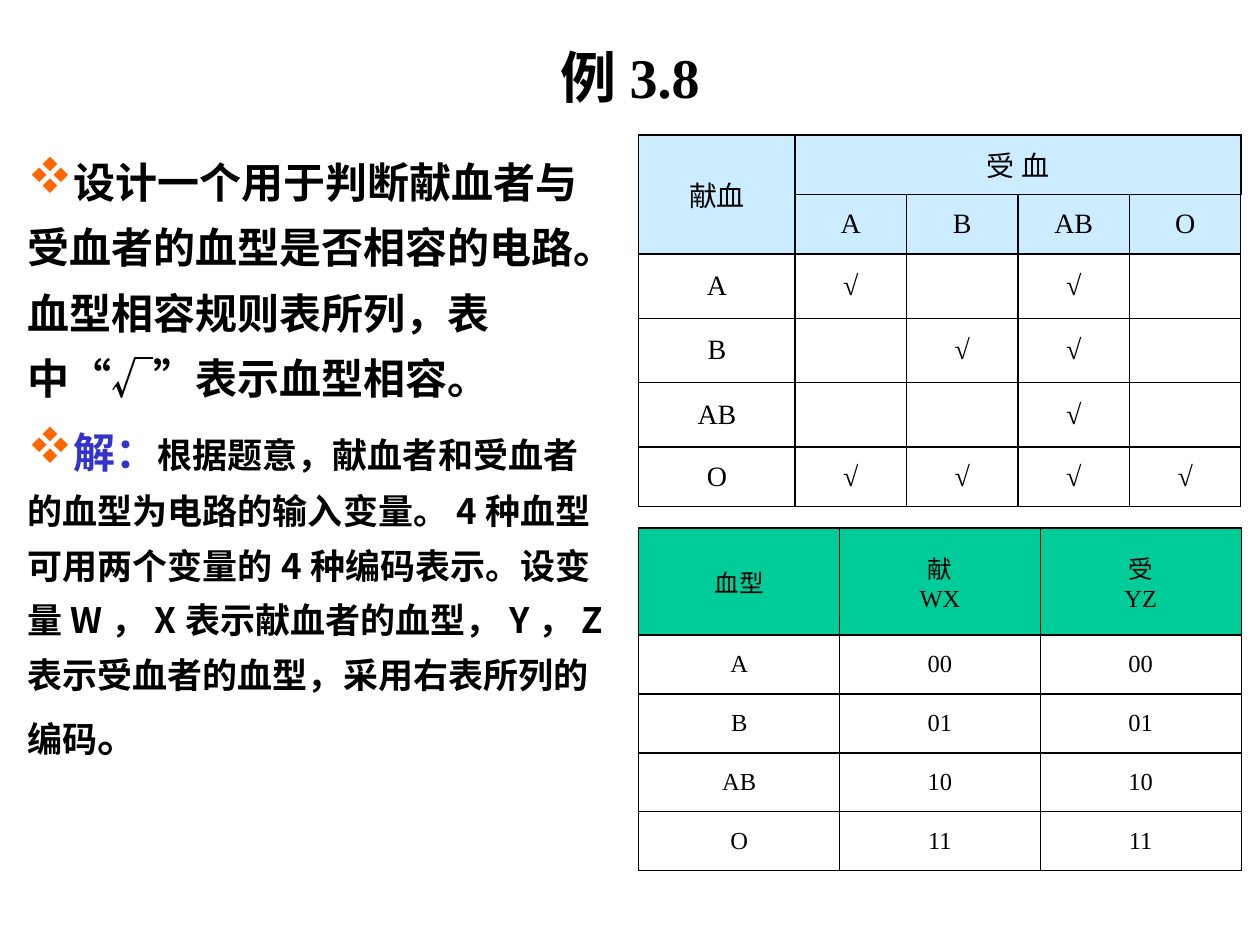
from pptx import Presentation
from pptx.dml.color import RGBColor
from pptx.enum.text import MSO_ANCHOR, PP_ALIGN
from pptx.oxml.ns import qn
from pptx.util import Inches, Pt
from lxml import etree

MIDDLE, TOP = MSO_ANCHOR.MIDDLE, MSO_ANCHOR.TOP
CENTER, LEFT = PP_ALIGN.CENTER, PP_ALIGN.LEFT
BLACK = RGBColor(0x00, 0x00, 0x00)
BLUE = RGBColor(0x33, 0x33, 0xCC)
ORANGE = RGBColor(0xFF, 0x66, 0x00)
PALE_BLUE = RGBColor(0xCC, 0xEC, 0xFF)
GREEN = RGBColor(0x00, 0xCC, 0x99)
SERIF, SANS = "Times New Roman", "Noto Sans CJK SC"


class SlideBuilder:
    """Holds the text style and the current slide."""

    base_font = {"name": SERIF, "size": Pt(24), "bold": True}

    def __init__(self, slide):
        self.slide = slide

    def run(self, paragraph, text, color=BLACK, **font_values):
        run = paragraph.add_run()
        run.text = text
        for attribute, value in {**self.base_font, **font_values}.items():
            setattr(run.font, attribute, value)
        run.font.color.rgb = color

    def text_box(self, area, anchor):
        frame = self.slide.shapes.add_textbox(*map(Inches, area)).text_frame
        frame.word_wrap = True
        frame.vertical_anchor = anchor
        return frame

    def title(self, area, text):
        paragraph = self.text_box(area, MIDDLE).paragraphs[0]
        paragraph.alignment = CENTER
        self.run(paragraph, text, size=Pt(32))

    def bullets(self, area, items):
        frame = self.text_box(area, TOP)
        for index, runs in enumerate(items):
            paragraph = frame.add_paragraph() if index else frame.paragraphs[0]
            layout = {"alignment": LEFT, "line_spacing": 1.3, "space_before": Pt(5 if index else 0)}
            for attribute, value in layout.items():
                setattr(paragraph, attribute, value)
            self.bullet_mark(paragraph)
            for text, values in runs:
                self.run(paragraph, text, **values)

    def bullet_mark(self, paragraph):
        properties = paragraph._p.get_or_add_pPr()
        properties.set("marL", "0")
        properties.set("indent", "0")
        color = etree.SubElement(properties, qn("a:buClr"))
        etree.SubElement(color, qn("a:srgbClr"), val=str(ORANGE))
        etree.SubElement(properties, qn("a:buSzPct"), val="120000")
        # The letter v is the four-diamond mark in this symbol font
        etree.SubElement(properties, qn("a:buFont"), typeface="Wingdings", charset="2")
        etree.SubElement(properties, qn("a:buChar"), char="v")

    def table(self, area, widths, heights, rows, header_rows, header_fill, size, merges=()):
        table = self.slide.shapes.add_table(len(rows), len(widths), *map(Inches, area)).table
        for column, width in zip(table.columns, widths):
            column.width = Inches(width)
        for row, height in zip(table.rows, heights):
            row.height = Inches(height)
        last_row, last_column = len(rows) - 1, len(widths) - 1
        for r, texts in enumerate(rows):
            for c, text in enumerate(texts):
                cell = table.cell(r, c)
                # Thinner lines at the left and right edges
                self.borders(cell, {"L": 0.75 if c == 0 else 1, "R": 0.75 if c == last_column else 1,
                                    "T": 1, "B": 0.75 if r == last_row else 1})
                self.cell(cell, text, size, header_fill if r < header_rows else None)
        for first, last in merges:
            table.cell(*first).merge(table.cell(*last))

    def borders(self, cell, widths):
        properties = cell._tc.get_or_add_tcPr()
        for side, width in widths.items():
            border = etree.SubElement(properties, qn(f"a:ln{side}"), w=str(Pt(width)))
            solid = etree.SubElement(border, qn("a:solidFill"))
            etree.SubElement(solid, qn("a:srgbClr"), val=str(BLACK))

    def cell(self, cell, text, size, fill):
        cell.vertical_anchor = MIDDLE
        if fill is None:
            cell.fill.background()
        else:
            cell.fill.solid()
            cell.fill.fore_color.rgb = fill
        frame = cell.text_frame
        for index, line in enumerate(text.split("\n")):
            paragraph = frame.add_paragraph() if index else frame.paragraphs[0]
            paragraph.alignment = CENTER
            paragraph.font.size = size
            if line:
                self.run(paragraph, line, size=size, bold=False)


def main():
    presentation = Presentation()
    presentation.slide_width, presentation.slide_height = Inches(10), Inches(7.5)
    builder = SlideBuilder(presentation.slides.add_slide(presentation.slide_layouts[6]))

    # Title
    builder.title((0.75, 0.44, 8.5, 0.33), "例3.8")

    # Problem and solution
    problem = [("设计一个用于判断献血者与受血者的血型是否相容的电路。"
                "血型相容规则表所列，表中“√”表示血型相容。", {})]
    solution = [
        ("解：", {"color": BLUE}),
        ("根据题意，献血者和受血者的血型为电路的输入变量。4种血型可用两个变量的4种编码表示。"
         "设变量W，X表示献血者的血型，Y，Z表示受血者的血型，采用右表所列的编码",
         {"name": SANS, "size": Pt(20)}),
        ("。", {}),
    ]
    builder.bullets((0.12, 1.07, 4.78, 6.06), [problem, solution])

    # Compatibility of donor and recipient
    blood_types = ["A", "B", "AB", "O"]
    recipients = {"A": ["A", "AB"], "B": ["B", "AB"], "AB": ["AB"], "O": blood_types}
    rules = [[donor] + ["√" if kind in recipients[donor] else "" for kind in blood_types]
             for donor in blood_types]
    low, high = (2.95 - 3 * 0.51) / 3, 0.51
    builder.table(
        (5.07, 1.07, 4.78, 2.95), [1.24] + [(4.78 - 1.24) / 4] * 4, [low, low, high, high, high, low],
        [["献血", "受 血", "", "", ""], [""] + blood_types] + rules,
        2, PALE_BLUE, Pt(16), merges=[((0, 0), (1, 0)), ((0, 1), (0, 4))])

    # Codes of the blood types
    codes = [[kind] + [f"{number:02b}"] * 2 for number, kind in enumerate(blood_types)]
    builder.table(
        (5.07, 4.19, 4.78, 2.72), [4.78 / 3] * 3, [0.85] + [(2.72 - 0.85) / 4] * 4,
        [["血型", "献\nWX", "受\nYZ"]] + codes, 1, GREEN, Pt(14))

    presentation.save("out.pptx")


if __name__ == "__main__":
    main()
